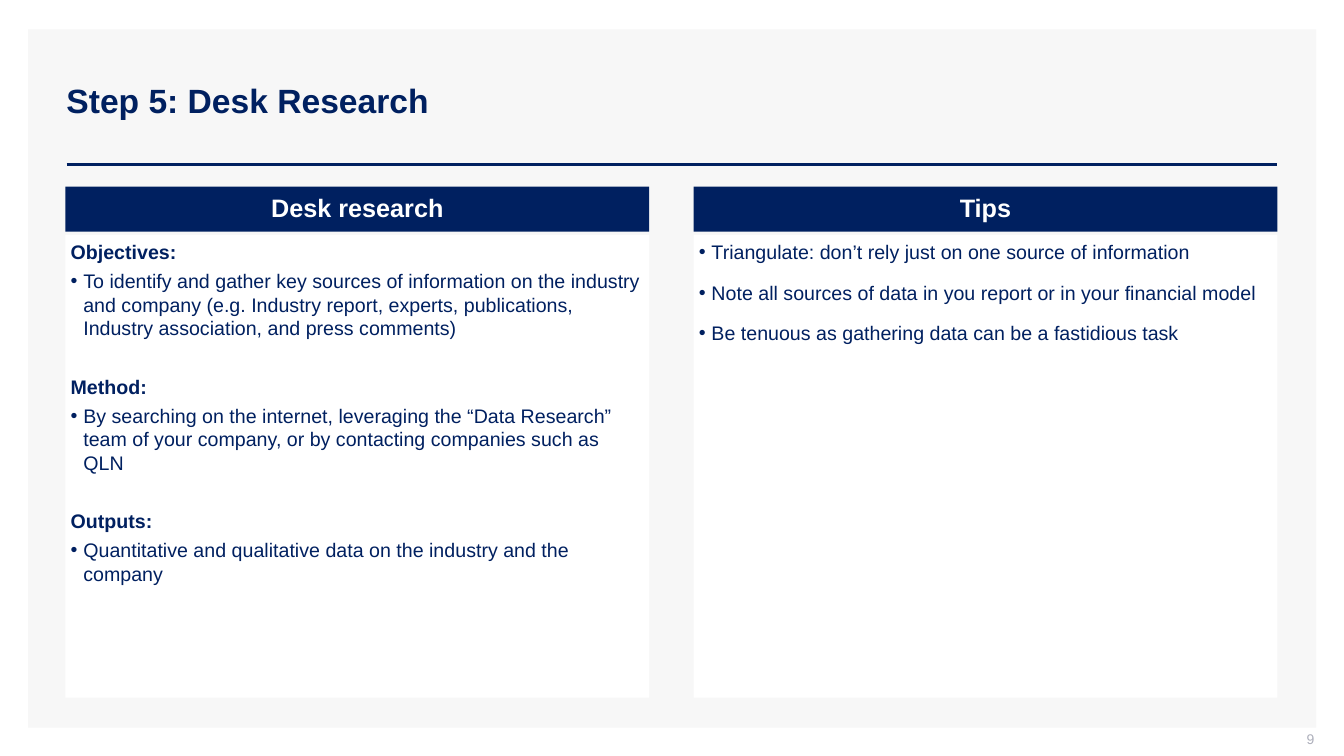
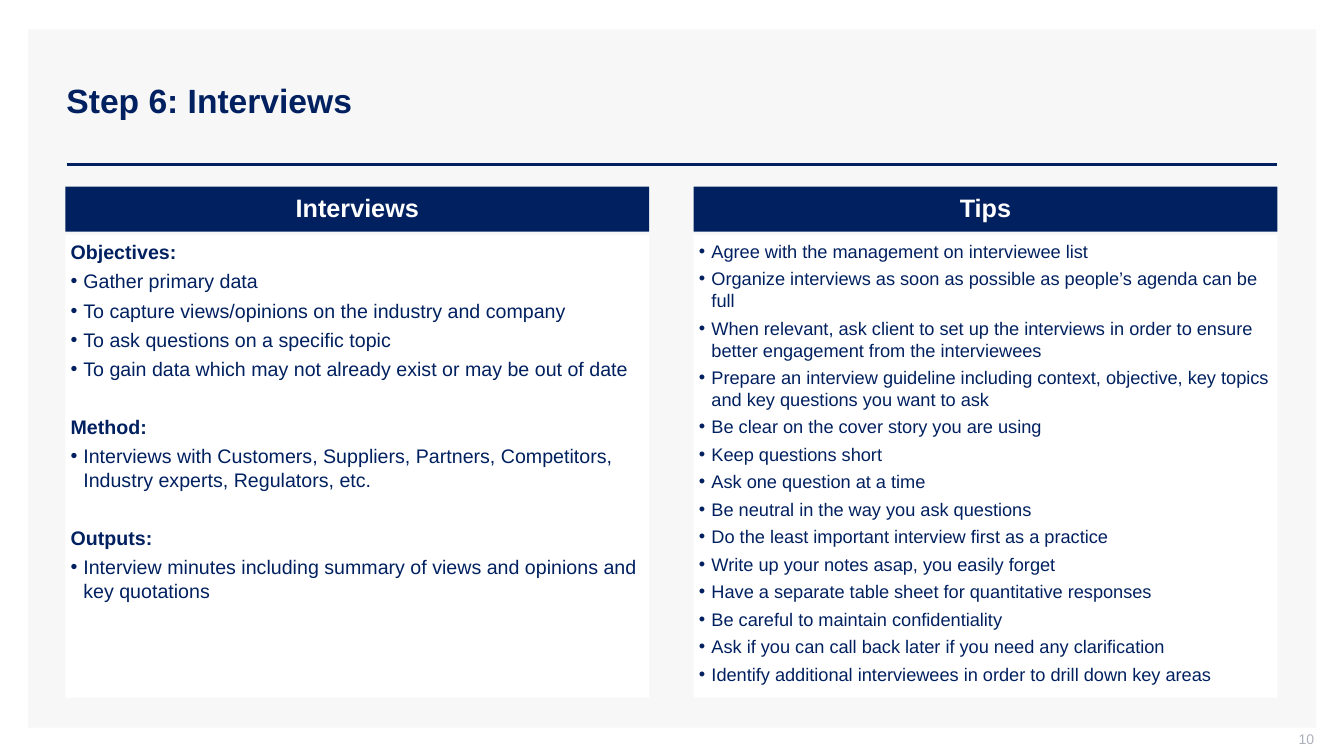
from lxml import etree
from pptx import Presentation
from pptx.dml.color import RGBColor
from pptx.enum.shapes import MSO_CONNECTOR, MSO_SHAPE
from pptx.enum.text import MSO_ANCHOR, MSO_AUTO_SIZE, PP_ALIGN
from pptx.oxml.ns import qn
from pptx.util import Cm, Pt

LEFT, CENTER, RIGHT = PP_ALIGN.LEFT, PP_ALIGN.CENTER, PP_ALIGN.RIGHT
TOP, MIDDLE = MSO_ANCHOR.TOP, MSO_ANCHOR.MIDDLE
NAVY, WHITE, PALE, GREY = "002060", "FFFFFF", "F7F7F7", "ADAFBB"
FONT = "Arial"
FIRST_PAGE = 9
HANGING = Cm(0.32)
INSET = Cm(0.13)


def color(hex_text):
    return RGBColor.from_string(hex_text)


def add_text(frame, text, size=14, ink=NAVY, bold=False, align=LEFT,
             before=0, after=0, spacing=1.0, bullet=False):
    """Fill the empty first paragraph of the frame, or append a new one."""
    first = not frame.text
    paragraph = frame.paragraphs[0] if first else frame.add_paragraph()
    paragraph.alignment = align
    paragraph.line_spacing = spacing
    paragraph.space_before = Pt(0 if first else before)
    paragraph.space_after = Pt(after)
    properties = paragraph._p.get_or_add_pPr()
    indent = HANGING if bullet else 0
    properties.set("marL", str(indent))
    properties.set("indent", str(-indent))
    if bullet:
        etree.SubElement(properties, qn("a:buFont")).set("typeface", FONT)
        etree.SubElement(properties, qn("a:buChar")).set("char", "•")
    else:
        etree.SubElement(properties, qn("a:buNone"))
    run = paragraph.add_run()
    run.text = text
    run.font.name = FONT
    run.font.size = Pt(size)
    run.font.bold = bold
    run.font.color.rgb = color(ink)


# Content: title, left heading, left sections, tips, tip size, tip spacing
STEPS = [
    ("Step 5: Desk Research", "Desk research", [
        ("Objectives:", [
            "To identify and gather key sources of information on the industry "
            "and company (e.g. Industry report, experts, publications, "
            "Industry association, and press comments)"]),
        ("Method:", [
            "By searching on the internet, leveraging the “Data Research” team "
            "of your company, or by contacting companies such as QLN"]),
        ("Outputs:", [
            "Quantitative and qualitative data on the industry and the company"]),
    ], [
        "Triangulate: don’t rely just on one source of information",
        "Note all sources of data in you report or in your financial model",
        "Be tenuous as gathering data can be a fastidious task",
    ], 14, 6),
    ("Step 6: Interviews", "Interviews", [
        ("Objectives:", [
            "Gather primary data",
            "To capture views/opinions on the industry and company",
            "To ask questions on a specific topic",
            "To gain data which may not already exist or may be out of date"]),
        ("Method:", [
            "Interviews with Customers, Suppliers, Partners, Competitors, "
            "Industry experts, Regulators, etc."]),
        ("Outputs:", [
            "Interview minutes including summary of views and opinions and "
            "key quotations"]),
    ], [
        "Agree with the management on interviewee list",
        "Organize interviews as soon as possible as people’s agenda can be full",
        "When relevant, ask client to set up the interviews in order to ensure "
        "better engagement from the interviewees",
        "Prepare an interview guideline including context, objective, key "
        "topics and key questions you want to ask",
        "Be clear on the cover story you are using",
        "Keep questions short",
        "Ask one question at a time",
        "Be neutral in the way you ask questions",
        "Do the least important interview first as a practice",
        "Write up your notes asap, you easily forget",
        "Have a separate table sheet for quantitative responses",
        "Be careful to maintain confidentiality",
        "Ask if you can call back later if you need any clarification",
        "Identify additional interviewees in order to drill down key areas",
    ], 13, 2),
]

prs = Presentation()
prs.slide_width, prs.slide_height = Cm(33.87), Cm(19.05)
layout = prs.slide_layouts.get_by_name("Comparison")

# Shared places of the title, the two headings and the two bodies
PLACES = {0: (1.42, 1.02, 30.76, 3.02)}
for column, left in enumerate((1.65, 17.48)):
    PLACES[1 + 2 * column] = (left, 4.7, 14.71, 1.14)
    PLACES[2 + 2 * column] = (left, 5.92, 14.71, 11.66)
for holder in layout.placeholders:
    index = holder.placeholder_format.idx
    if index in PLACES:
        holder.left, holder.top, holder.width, holder.height = map(Cm, PLACES[index])

slides = [prs.slides.add_slide(layout) for step in STEPS]

# Shared panel and title rule, moved to the back of the layout
panel = slides[0].shapes.add_shape(
    MSO_SHAPE.RECTANGLE, Cm(0.71), Cm(0.74), Cm(32.46), Cm(17.6))
panel.shadow.inherit = False
panel.fill.solid()
panel.fill.fore_color.rgb = color(PALE)
panel.line.fill.background()
title_rule = slides[0].shapes.add_connector(
    MSO_CONNECTOR.STRAIGHT, Cm(1.68), Cm(4.14), Cm(32.18), Cm(4.14))
title_rule.line.color.rgb = color(NAVY)
title_rule.line.width = Pt(2)
etree.SubElement(title_rule.element.spPr, qn("a:effectLst"))
layout.shapes.element.insert(2, panel.element)
layout.shapes.element.insert(3, title_rule.element)

for page, (slide, step) in enumerate(zip(slides, STEPS), FIRST_PAGE):
    title, topic, sections, tips, tip_size, tip_gap = step

    # Title
    title_frame = slide.shapes.title.text_frame
    title_frame.vertical_anchor = MIDDLE
    title_frame.auto_size = MSO_AUTO_SIZE.NONE
    add_text(title_frame, title, size=24, bold=True)

    # Column headings and bodies
    for index in (1, 2, 3, 4):
        box = slide.placeholders[index]
        is_heading = index % 2 == 1
        box.fill.solid()
        box.fill.fore_color.rgb = color(NAVY if is_heading else WHITE)
        frame = box.text_frame
        frame.auto_size = MSO_AUTO_SIZE.NONE
        frame.vertical_anchor = MIDDLE if is_heading else TOP
        frame.margin_left = frame.margin_right = INSET
        frame.margin_top = frame.margin_bottom = INSET
        if is_heading:
            add_text(frame, topic if index == 1 else "Tips", size=18, ink=WHITE,
                     bold=True, align=CENTER, spacing=0.9)

    # Left column: sections with bullets
    section_frame = slide.placeholders[2].text_frame
    for label, points in sections:
        add_text(section_frame, label, bold=True, before=22.8, after=2)
        for point in points:
            add_text(section_frame, point, before=2, after=2, bullet=True)

    # Right column: tips
    for tip in tips:
        add_text(slide.placeholders[4].text_frame, tip, size=tip_size,
                 before=tip_gap, after=tip_gap, bullet=True)

    # Page number
    page_frame = slide.shapes.add_textbox(
        Cm(25.5), Cm(18.42), Cm(7.62), Cm(0.53)).text_frame
    page_frame.word_wrap = True
    page_frame.vertical_anchor = MIDDLE
    page_frame.margin_top = page_frame.margin_right = 0
    page_frame.margin_bottom = INSET
    add_text(page_frame, str(page), size=10, ink=GREY, align=RIGHT)

prs.save("out.pptx")
